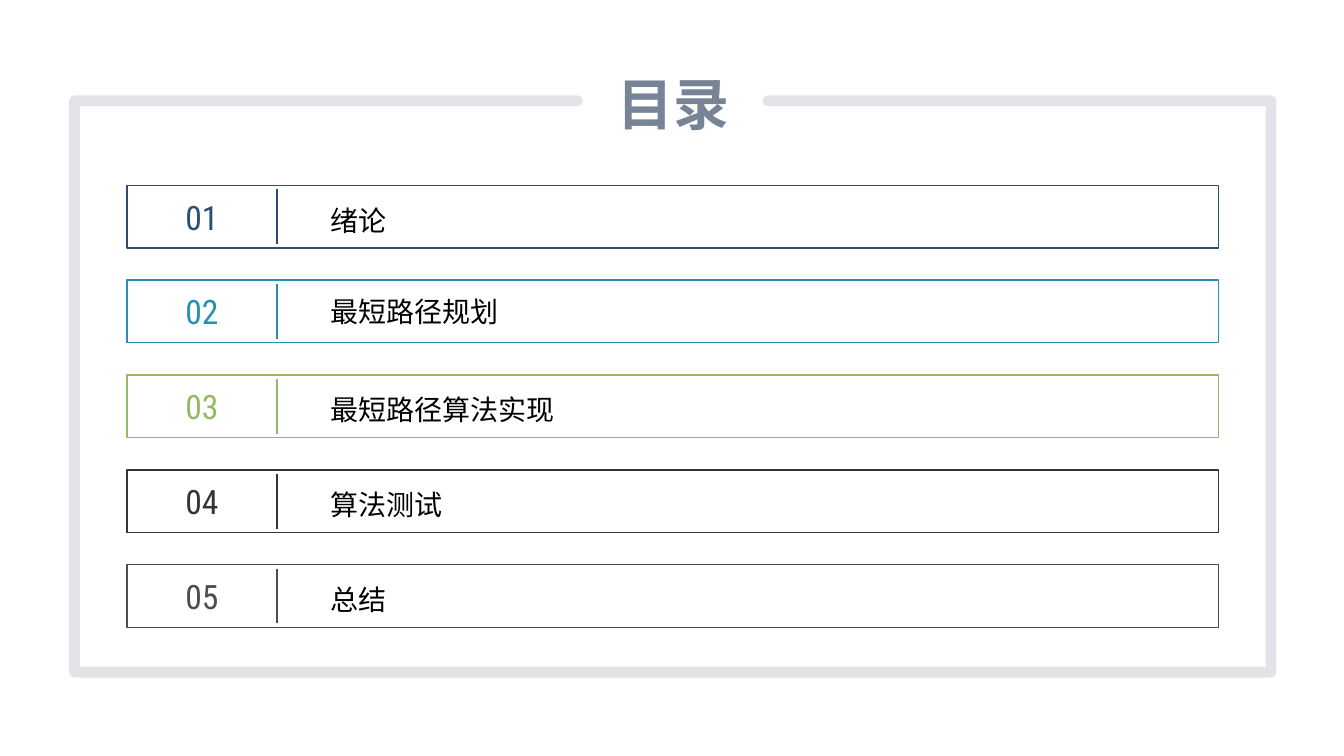
from pptx import Presentation
from pptx.dml.color import RGBColor
from pptx.enum.shapes import MSO_CONNECTOR, MSO_SHAPE
from pptx.enum.text import MSO_ANCHOR, MSO_AUTO_SIZE, PP_ALIGN
from pptx.oxml.ns import qn
from pptx.util import Cm, Pt
from lxml import etree

STRAIGHT = MSO_CONNECTOR.STRAIGHT
RECTANGLE = MSO_SHAPE.RECTANGLE
MIDDLE = MSO_ANCHOR.MIDDLE
NO_AUTOFIT = MSO_AUTO_SIZE.NONE
LEFT, CENTER = PP_ALIGN.LEFT, PP_ALIGN.CENTER

SLATE = "778495"
# Heading, accent colour and line spacing of each chapter
CHAPTERS = [
    ("绪论", "2B4E72", 1.2),
    ("最短路径规划", "2790B0", 1.0),
    ("最短路径算法实现", "94BA65", 1.2),
    ("算法测试", "353432", 1.2),
    ("总结", "4E4D4A", 1.2),
]


def set_all(target, values):
    for name, value in values.items():
        setattr(target, name, value)


def paint(color_format, hex_color):
    color_format.rgb = RGBColor.from_string(hex_color)


def set_line(shape, hex_color, width):
    paint(shape.line.color, hex_color)
    shape.line.width = Pt(width)


def write(shape, text, hex_color, font, align, spacing=1.0, inset=(0.25, 0.13)):
    side, end = map(Cm, inset)
    frame = shape.text_frame
    frame.text = text
    set_all(frame, {
        "word_wrap": True, "auto_size": NO_AUTOFIT, "vertical_anchor": MIDDLE,
        "margin_left": side, "margin_right": side,
        "margin_top": end, "margin_bottom": end,
    })
    paragraph = frame.paragraphs[0]
    set_all(paragraph, {"alignment": align, "line_spacing": spacing})
    run_font = paragraph.runs[0].font
    set_all(run_font, font)
    paint(run_font.color, hex_color)


def add_frame(slide, left, top, width, height):
    """Pale border, open at the top around the title."""
    right, bottom = left + width, top + height
    gap_left, gap_right = left + Cm(12.67), left + Cm(17.47)
    builder = slide.shapes.build_freeform(gap_right, top)
    builder.add_line_segments(
        [(right, top), (right, bottom), (left, bottom), (left, top), (gap_left, top)],
        close=False)
    border = builder.convert_to_shape()
    border.shadow.inherit = False
    border.fill.background()
    set_line(border, SLATE, 7.75)
    # Rounded ends and corners, 21 % opacity
    line = border.line._get_or_add_ln()
    line.set("cap", "rnd")
    etree.SubElement(line, qn("a:round"))
    etree.SubElement(line.find(".//" + qn("a:srgbClr")), qn("a:alpha"), val="21000")


def add_title(slide, left, top, width, height):
    title = slide.shapes.title
    set_all(title, {"left": left, "top": top, "width": width, "height": height})
    write(title, "目录", SLATE, {"name": "Arial", "size": Pt(40), "bold": True},
          CENTER, inset=(0, 0))


def add_chapter(slide, number, chapter, left, top, width, height):
    """Outlined row: number, divider, heading."""
    heading, accent, spacing = chapter
    number_width, heading_offset, divider_inset = Cm(3.78), Cm(4.88), Cm(0.1)

    row = slide.shapes.add_shape(RECTANGLE, left, top, width, height)
    row.shadow.inherit = False
    row.fill.background()
    set_line(row, accent, 1)

    number_box = slide.shapes.add_textbox(left, top, number_width, height)
    write(number_box, f"{number:02}", accent,
          {"name": "Roboto Condensed", "size": Pt(24)}, CENTER)

    divider_x = left + number_width
    divider = slide.shapes.add_connector(
        STRAIGHT, divider_x, top + divider_inset,
        divider_x, top + height - divider_inset)
    set_line(divider, accent, 1)
    etree.SubElement(divider._element.spPr, qn("a:effectLst"))

    heading_box = slide.shapes.add_textbox(
        left + heading_offset, top, width - heading_offset, height)
    write(heading_box, heading, "000000",
          {"name": "Arial", "size": Pt(20)}, LEFT, spacing)


def add_chapters(slide, left, top, width, height):
    row_height = Cm(1.58)
    pitch = (height - row_height) // (len(CHAPTERS) - 1)
    for index, chapter in enumerate(CHAPTERS):
        add_chapter(slide, index + 1, chapter,
                    left, top + index * pitch, width, row_height)


def build_contents(presentation):
    title_only = presentation.slide_layouts[5]
    slide = presentation.slides.add_slide(title_only)
    slide.background.fill.solid()
    paint(slide.background.fill.fore_color, "FFFFFF")
    add_title(slide, Cm(14.78), Cm(1.63), Cm(4.37), Cm(1.93))
    add_frame(slide, Cm(1.88), Cm(2.54), Cm(30.15), Cm(14.4))
    add_chapters(slide, Cm(3.2), Cm(4.67), Cm(27.51), Cm(11.14))


presentation = Presentation()
set_all(presentation, {"slide_width": Cm(33.87), "slide_height": Cm(19.05)})
build_contents(presentation)
presentation.save("out.pptx")
